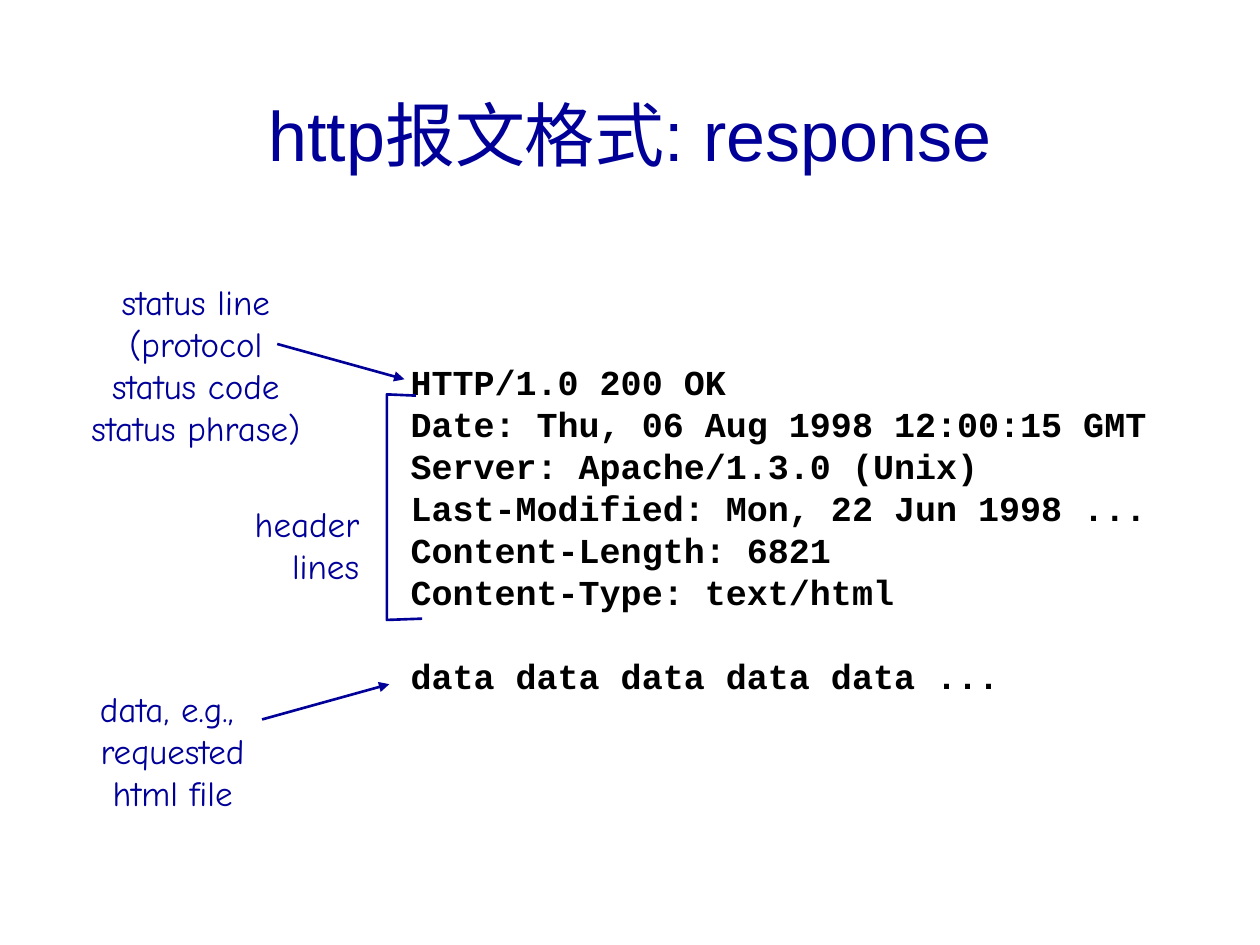
from lxml import etree
from pptx import Presentation
from pptx.dml.color import RGBColor
from pptx.enum.shapes import MSO_CONNECTOR
from pptx.enum.text import MSO_ANCHOR, MSO_AUTO_SIZE, PP_ALIGN
from pptx.oxml.ns import qn
from pptx.util import Inches, Pt

LEFT, CENTER, RIGHT = PP_ALIGN.LEFT, PP_ALIGN.CENTER, PP_ALIGN.RIGHT
MIDDLE = MSO_ANCHOR.MIDDLE
GROW = MSO_AUTO_SIZE.SHAPE_TO_FIT_TEXT
STRAIGHT = MSO_CONNECTOR.STRAIGHT
TITLE_ONLY = 5


def color(hex_value):
    """Return the colour for a hex string."""
    return RGBColor.from_string(hex_value)


class MessageSlide:
    """Holds the slide and the style of an annotated protocol message."""

    blue, black = "000099", "000000"
    title_font, label_font, code_font = "Arial", "Comic Neue", "Courier New"
    title_size, body_size = Pt(40), Pt(20)
    pitch, line_width = Pt(24), Pt(1.5)

    def __init__(self, deck):
        """Add a title-only slide to the deck."""
        self.slide = deck.slides.add_slide(deck.slide_layouts[TITLE_ONLY])

    def add_run(self, paragraph, text, font, size, hex_value, bold=False):
        """Add one formatted run to a paragraph."""
        run = paragraph.add_run()
        run.text = text
        run.font.name, run.font.size, run.font.bold = font, size, bold
        run.font.color.rgb = color(hex_value)

    def title(self, text, left, top, width, height):
        """Place and fill the title placeholder."""
        title = self.slide.shapes.title
        title.left, title.top = Inches(left), Inches(top)
        title.width, title.height = Inches(width), Inches(height)
        frame = title.text_frame
        frame.vertical_anchor = MIDDLE
        paragraph = frame.paragraphs[0]
        paragraph.alignment = CENTER
        self.add_run(paragraph, text, self.title_font, self.title_size, self.blue)

    def text(self, lines, left, top, width, height, align, font, hex_value, bold=False):
        """Add a text box with one paragraph per line and return its paragraphs."""
        box = self.slide.shapes.add_textbox(
            Inches(left), Inches(top), Inches(width), Inches(height))
        frame = box.text_frame
        frame.word_wrap = False
        frame.auto_size = GROW
        for index, line in enumerate(lines):
            paragraph = frame.add_paragraph() if index else frame.paragraphs[0]
            paragraph.alignment = align
            paragraph.line_spacing = self.pitch
            self.add_run(paragraph, line, font, self.body_size, hex_value, bold)
        return frame.paragraphs

    def label(self, lines, left, top, width, height, align=CENTER):
        """Add a blue annotation."""
        self.text(lines, left, top, width, height, align, self.label_font, self.blue)

    def message(self, head, body, left, top, width, height):
        """Add the message with a one-line gap between head and body."""
        paragraphs = self.text(head + [body], left, top, width, height,
                               LEFT, self.code_font, self.black, bold=True)
        paragraphs[-1].space_before = self.pitch

    def outline(self, line):
        """Give a line the common colour and width."""
        line.color.rgb = color(self.blue)
        line.width = self.line_width

    def arrow(self, start, end):
        """Add an arrow that points at its end."""
        arrow = self.slide.shapes.add_connector(
            STRAIGHT, *(Inches(value) for value in start + end))
        self.outline(arrow.line)
        etree.SubElement(arrow.line._get_or_add_ln(), qn("a:tailEnd"), type="triangle")
        etree.SubElement(arrow._element.spPr, qn("a:effectLst"))

    def bracket(self, points):
        """Add an open outline through the points."""
        corners = [(Inches(x), Inches(y)) for x, y in points]
        builder = self.slide.shapes.build_freeform(*corners[0])
        builder.add_line_segments(corners[1:], close=False)
        bracket = builder.convert_to_shape()
        bracket.shadow.inherit = False
        bracket.fill.background()
        self.outline(bracket.line)


def main():
    """Build and save the response format slide."""
    deck = Presentation()
    deck.slide_width, deck.slide_height = Inches(10), Inches(7.5)
    page = MessageSlide(deck)
    page.title("http报文格式: response", 0.51, 0.65, 8.98, 0.82)
    response_head = [
        "HTTP/1.0 200 OK",
        "Date: Thu, 06 Aug 1998 12:00:15 GMT",
        "Server: Apache/1.3.0 (Unix)",
        "Last-Modified: Mon, 22 Jun 1998 ...",
        "Content-Length: 6821",
        "Content-Type: text/html",
    ]
    page.message(response_head, "data data data data data ...", 3.16, 2.81, 6.21, 2.77)
    page.label(["status line", "(protocol", "status code", "status phrase)"],
               0.62, 2.18, 1.87, 1.44)
    page.arrow((2.2, 2.73), (3.21, 3.01))
    page.bracket([(3.3, 3.14), (3.07, 3.13), (3.07, 4.92), (3.35, 4.91)])
    page.label(["header", "lines"], 1.92, 3.94, 1.03, 0.77, RIGHT)
    page.arrow((2.08, 5.71), (3.09, 5.43))
    page.label(["data, e.g., ", "requested", "html file"], 0.69, 5.41, 1.36, 1.1)
    deck.save("out.pptx")


if __name__ == "__main__":
    main()
